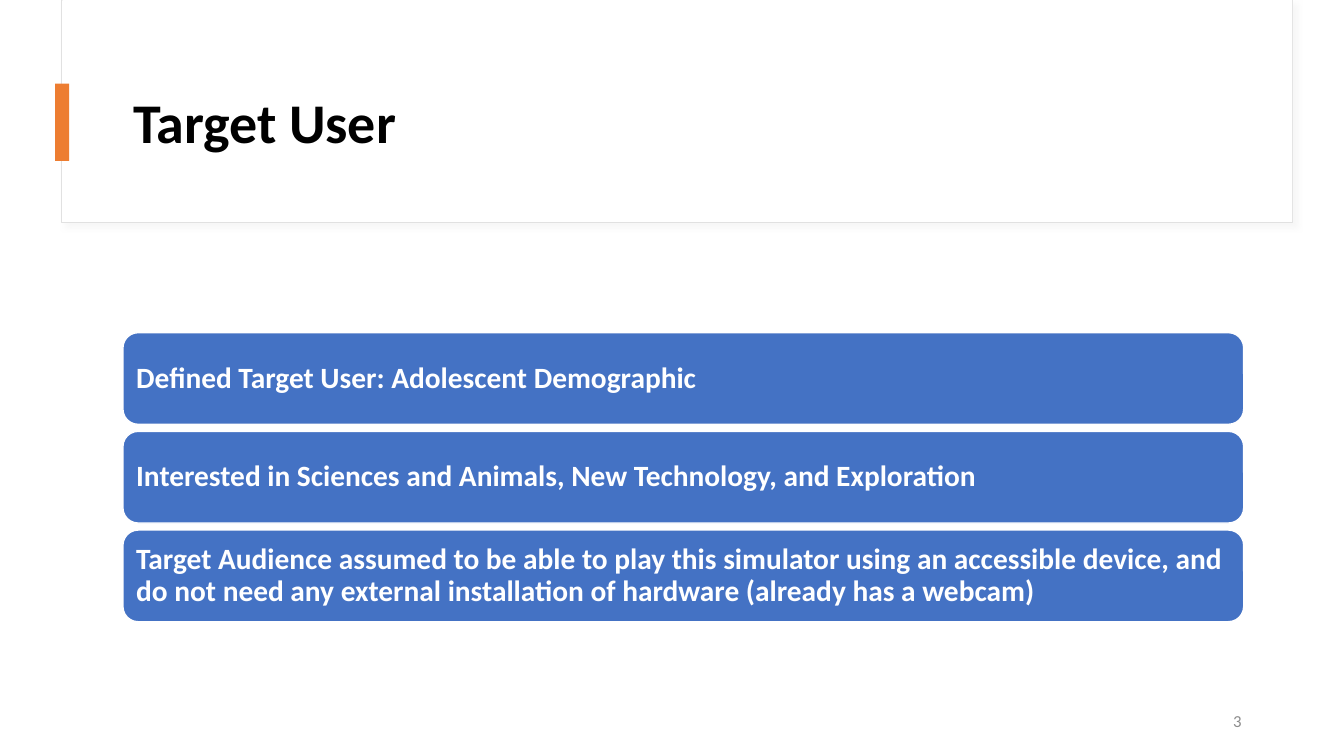
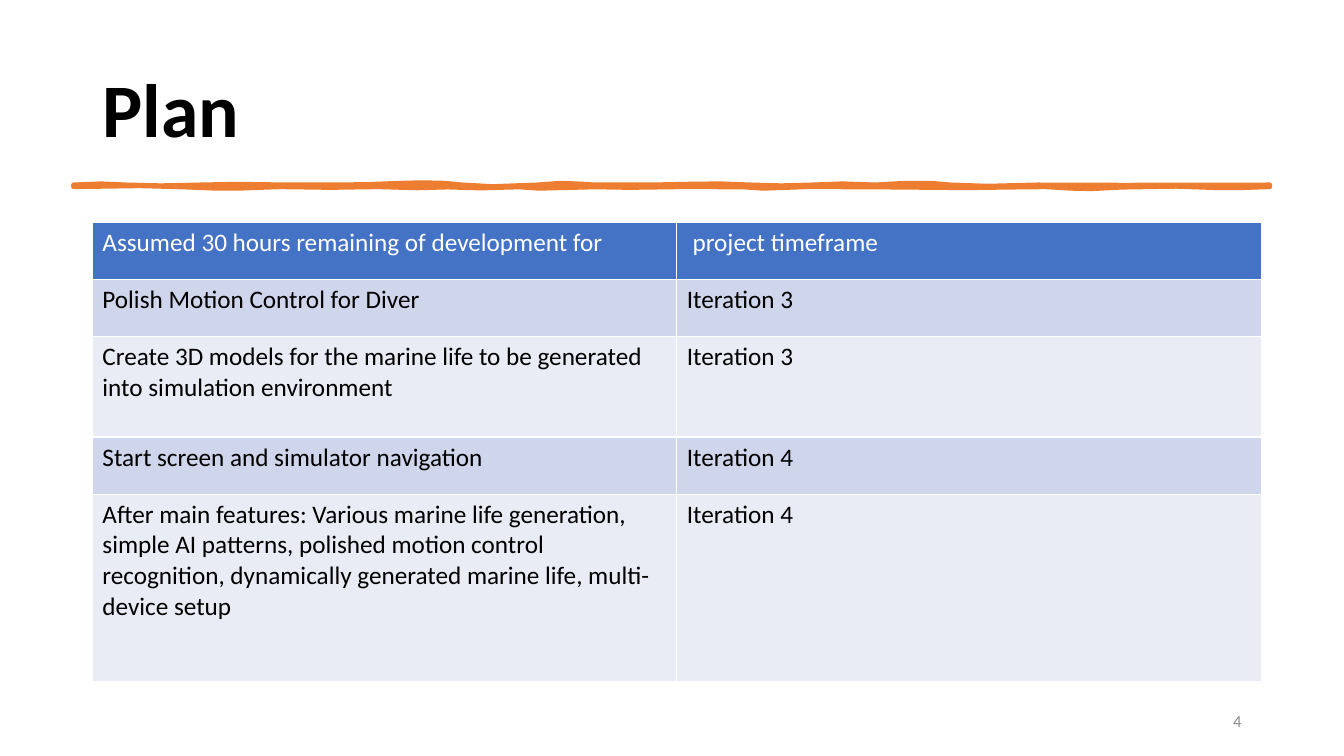
from dataclasses import dataclass
from lxml import etree
from pptx import Presentation
from pptx import util as u
from pptx.dml.color import RGBColor
from pptx.enum import shapes, text
from pptx.oxml import ns

Pt = u.Pt


@dataclass(frozen=True)
class Theme:
    font: str = "Calibri"
    white: str = "FFFFFF"
    ink: str = "000000"
    blue: str = "4472C4"
    orange: str = "ED7D31"
    edge: str = "E1E1E1"
    shade: str = "D9D9D9"
    grey: str = "8C8C8C"
    bands: tuple = ("CFD5EA", "E9EBF5")
    large: int = 54
    title: int = 40
    bar: int = 21
    cell: int = 18
    note: int = 12


BARS = [
    "Defined Target User: Adolescent Demographic",
    "Interested in Sciences and Animals, New Technology, and Exploration",
    "Target Audience assumed to be able to play this simulator using an accessible device, "
    "and do not need any external installation of hardware (already has a webcam)",
]

PLAN = [
    ("Assumed 30 hours remaining of development for", " project timeframe"),
    ("Polish Motion Control for Diver", "Iteration 3"),
    ("Create 3D models for the marine life to be generated into simulation environment",
     "Iteration 3"),
    ("Start screen and simulator navigation", "Iteration 4"),
    ("After main features: Various marine life generation, simple AI patterns, "
     "polished motion control recognition, dynamically generated marine life, "
     "multi-device setup", "Iteration 4"),
]

BRUSH = [
    (52.5, 132), (72, 131.2), (90, 132), (115, 132.6), (143, 132), (170, 131.5),
    (205, 132), (260, 131.8), (285, 130.8), (302, 130.4), (318, 130.8), (330, 132),
    (352, 133.2), (384, 132), (400, 130.8), (412, 131.2), (425, 132), (465, 132),
    (495, 131.4), (515, 131.2), (536, 132), (558, 132.6), (580, 132), (602, 131.2),
    (625, 132), (645, 130.9), (665, 130.8), (679, 132), (705, 132.9), (741, 132),
    (803, 132.2), (907, 132), (907, 133.5), (885, 134.2), (870, 134.2),
    (840, 133.2), (801, 133.8), (780, 134.9), (765, 134.6), (747, 133.5),
    (720, 133.8), (690, 134.2), (621, 133.6), (576, 133.5), (545, 134.6),
    (531, 133.6), (487, 133.5), (450, 134), (425, 133.6), (385, 134.6),
    (371, 133.6), (343, 134.4), (320, 133.7), (298, 134.3), (270, 133.5),
    (236, 134), (200, 133.5), (170, 134.6), (155, 134.6), (130, 133.6),
    (100, 132.8), (52.5, 133.5),
]


class Deck:
    def __init__(self, theme):
        self.theme = theme
        self.file = Presentation()
        self.file.slide_width, self.file.slide_height = Pt(960), Pt(540)
        self.slide = None

    def page(self, num):
        self.slide = self.file.slides.add_slide(self.file.slide_layouts[6])
        self.label(str(num), (678, 500.5, 216, 29), self.theme.note, self.theme.grey,
                   align=text.PP_ALIGN.RIGHT)

    def style(self, frame, size, color, bold=False, space=None, align=text.PP_ALIGN.LEFT):
        frame.word_wrap = True
        for para in frame.paragraphs:
            para.alignment = align
            para.line_spacing = space
            for run in para.runs:
                font = run.font
                font.name, font.size, font.bold = self.theme.font, Pt(size), bold
                font.color.rgb = RGBColor.from_string(color)

    def label(self, words, area, size, color, **look):
        frame = self.slide.shapes.add_textbox(*map(Pt, area)).text_frame
        frame.text = words
        frame.vertical_anchor = text.MSO_ANCHOR.MIDDLE
        self.style(frame, size, color, **look)

    def title(self, words, area, size):
        self.label(words, area, size, self.theme.ink, bold=True, space=0.9)

    def paint(self, shape, fill, line=None, width=1):
        shape.shadow.inherit = False
        shape.fill.solid()
        shape.fill.fore_color.rgb = RGBColor.from_string(fill)
        if line:
            shape.line.color.rgb = RGBColor.from_string(line)
            shape.line.width = Pt(width)
        else:
            shape.line.fill.background()

    def box(self, area, fill, line=None, width=1, kind=shapes.MSO_SHAPE.RECTANGLE):
        shape = self.slide.shapes.add_shape(kind, *map(Pt, area))
        self.paint(shape, fill, line, width)
        return shape

    def shadow(self, shape):
        effect = shape._element.spPr.find(ns.qn("a:effectLst"))
        cast = etree.SubElement(effect, ns.qn("a:outerShdw"), blurRad=str(Pt(4)),
                                dist=str(Pt(4)), dir="2700000", algn="tl", rotWithShape="0")
        color = etree.SubElement(cast, ns.qn("a:srgbClr"), val=self.theme.shade)
        etree.SubElement(color, ns.qn("a:alpha"), val="20000")

    def bar(self, words, area):
        shape = self.box(area, self.theme.blue, self.theme.white,
                         kind=shapes.MSO_SHAPE.ROUNDED_RECTANGLE)
        frame = shape.text_frame
        frame.text = words
        frame.margin_left = frame.margin_right = Pt(6.3)
        frame.vertical_anchor = text.MSO_ANCHOR.MIDDLE
        self.style(frame, self.theme.bar, self.theme.white, bold=True, space=0.9)

    def stroke(self, points, color, width):
        spots = [(Pt(x), Pt(y)) for x, y in points]
        pen = self.slide.shapes.build_freeform(*spots[0])
        pen.add_line_segments(spots[1:], close=True)
        self.paint(pen.convert_to_shape(), color, color, width)

    def border(self, cell):
        props = cell._tc.get_or_add_tcPr()
        for spot, side in enumerate(("lnL", "lnR", "lnT", "lnB")):
            line = etree.Element(ns.qn("a:" + side), w=str(Pt(1)))
            fill = etree.SubElement(line, ns.qn("a:solidFill"))
            etree.SubElement(fill, ns.qn("a:srgbClr"), val=self.theme.white)
            props.insert(spot, line)

    def table(self, rows, area, heights):
        look = self.theme
        grid = self.slide.shapes.add_table(len(rows), len(rows[0]), *map(Pt, area)).table
        grid.horz_banding = False
        for r, (row, high) in enumerate(zip(rows, heights)):
            grid.rows[r].height = Pt(high)
            for c, words in enumerate(row):
                cell = grid.cell(r, c)
                cell.text_frame.text = words
                cell.fill.solid()
                fill = look.bands[(r - 1) % 2] if r else look.blue
                cell.fill.fore_color.rgb = RGBColor.from_string(fill)
                self.style(cell.text_frame, look.cell, look.ink if r else look.white)
                self.border(cell)


def users(deck):
    look = deck.theme
    deck.page(3)
    deck.shadow(deck.box((44, 0, 879, 159), look.white, look.edge, 0.75))
    deck.box((44.6, 0, 878.4, 158.4), look.white)
    deck.title("Target User", (88, 43, 801, 93), look.title)
    deck.box((39.4, 59.8, 10, 55.2), look.orange)
    for i, words in enumerate(BARS):
        deck.bar(words, (87.8, 237.6 + 70.5 * i, 800.6, 65.5))


def plan(deck):
    look = deck.theme
    deck.page(4)
    deck.title("Plan", (66, 29, 828, 104), look.large)
    deck.stroke(BRUSH, look.orange, 3.25)
    deck.table(PLAN, (66, 158.6, 835, 328.6), (40.8, 40.8, 72, 40.8, 134.2))


def main():
    deck = Deck(Theme())
    users(deck)
    plan(deck)
    deck.file.save("out.pptx")


if __name__ == "__main__":
    main()
